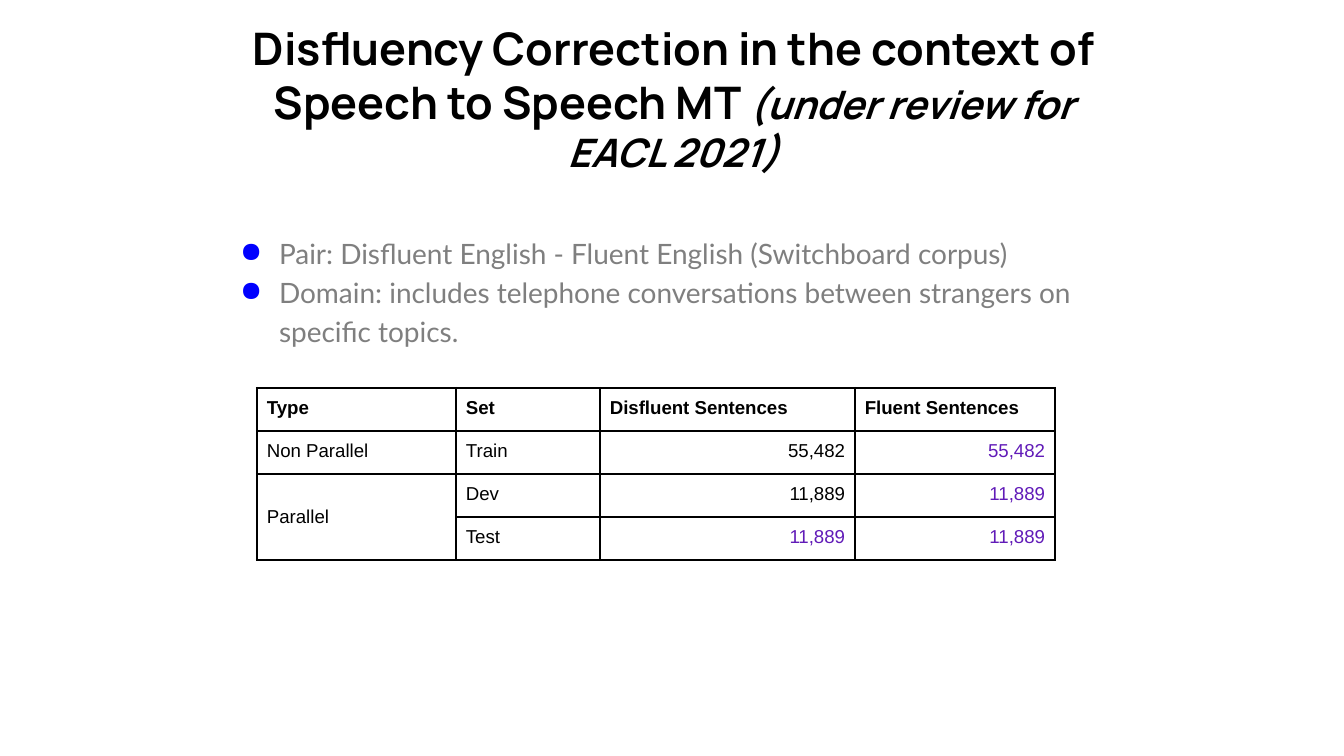
from lxml import etree
from pptx import Presentation
from pptx.dml.color import RGBColor
from pptx.enum.text import MSO_ANCHOR, PP_ALIGN
from pptx.oxml.ns import qn
from pptx.util import Emu, Pt

MIDDLE, TOP = MSO_ANCHOR.MIDDLE, MSO_ANCHOR.TOP
CENTER, LEFT, RIGHT = PP_ALIGN.CENTER, PP_ALIGN.LEFT, PP_ALIGN.RIGHT

COLORS = {"ink": "000000", "body": "7F7F7F", "bullet": "0000FF",
          "count": "611BB8", "paper": "FFFFFF"}
THICK, THIN = 1.5, 0.75

TITLE = [("Disfluency Correction in the context of Speech to Speech MT ", 24, False),
         ("(under review for EACL 2021)", 21, True)]
POINTS = ["Pair: Disfluent English - Fluent English (Switchboard corpus)",
          "Domain: includes telephone conversations between strangers on specific topics."]
ROWS = [["Type", "Set", "Disfluent Sentences", "Fluent Sentences"],
        ["Non Parallel", "Train", "55,482", "55,482"],
        ["Parallel", "Dev", "11,889", "11,889"],
        ["", "Test", "11,889", "11,889"]]
COLUMN_WIDTHS = [199, 144, 255, 200]
ROW_HEIGHT = 43
COUNT_CELLS = {(1, 3), (2, 3), (3, 2), (3, 3)}


def px(length):
    return Emu(round(length * 914400 / 134.4))


def set_font(font, name, size, color, bold=False):
    font.name, font.size, font.bold = name, Pt(size), bold
    font.color.rgb = RGBColor.from_string(COLORS[color])


def add_frame(page, box, anchor):
    frame = page.shapes.add_textbox(*map(px, box)).text_frame
    frame.word_wrap = True
    frame.vertical_anchor = anchor
    frame.margin_left = frame.margin_right = px(10)
    frame.margin_top = frame.margin_bottom = px(5)
    return frame


def add_title(page, box):
    para = add_frame(page, box, MIDDLE).paragraphs[0]
    para.alignment = CENTER
    for text, size, italic in TITLE:
        span = para.add_run()
        span.text = text
        set_font(span.font, "Manrope", size, "ink", bold=True)
        span.font.italic = italic


def add_bullet(para):
    properties = para._p.get_or_add_pPr()
    properties.set("marL", str(px(51)))
    properties.set("indent", str(px(-39)))
    color = etree.SubElement(properties, qn("a:buClr"))
    etree.SubElement(color, qn("a:srgbClr"), val=COLORS["bullet"])
    etree.SubElement(properties, qn("a:buChar"), char="●")


def add_points(page, box):
    frame = add_frame(page, box, TOP)
    for index, text in enumerate(POINTS):
        para = frame.add_paragraph() if index else frame.paragraphs[0]
        para.text = text
        para.line_spacing = 1.15
        add_bullet(para)
        set_font(para.font, "Lato", 15, "body")


def set_borders(cell, widths):
    """Draw the left, right, top and bottom lines, with widths in points."""
    properties = cell._tc.get_or_add_tcPr()
    for index, (side, width) in enumerate(zip("LRTB", widths)):
        line = etree.Element(qn(f"a:ln{side}"), w=str(Pt(width)))
        fill = etree.SubElement(line, qn("a:solidFill"))
        etree.SubElement(fill, qn("a:srgbClr"), val=COLORS["ink"])
        properties.insert(index, line)


def fill_cell(cell, row, column):
    cell.fill.solid()
    cell.fill.fore_color.rgb = RGBColor.from_string(COLORS["paper"])
    cell.margin_left = cell.margin_right = px(10)
    cell.margin_top = cell.margin_bottom = px(10)
    para = cell.text_frame.paragraphs[0]
    para.text = ROWS[row][column]
    para.alignment = RIGHT if row and column > 1 else LEFT
    color = "count" if (row, column) in COUNT_CELLS else "ink"
    set_font(para.font, "Arial", 10, color, bold=row == 0)
    last_row, last_column = len(ROWS) - 1, len(COLUMN_WIDTHS) - 1
    heavy = (column == 0, column == last_column, row < 2, row in (0, last_row))
    set_borders(cell, [THICK if edge else THIN for edge in heavy])


def add_sentence_table(page, left, top):
    table = page.shapes.add_table(
        len(ROWS), len(COLUMN_WIDTHS), px(left), px(top),
        px(sum(COLUMN_WIDTHS)), px(ROW_HEIGHT * len(ROWS))).table
    table.first_row = table.horz_banding = False
    for column, width in zip(table.columns, COLUMN_WIDTHS):
        column.width = px(width)
    for row, line in enumerate(table.rows):
        line.height = px(ROW_HEIGHT)
        for column in range(len(COLUMN_WIDTHS)):
            fill_cell(table.cell(row, column), row, column)
    parallel = table.cell(2, 0)
    parallel.merge(table.cell(3, 0))
    parallel.vertical_anchor = MIDDLE
    set_bottom = parallel._tc.tcPr.find(qn("a:lnB"))
    set_bottom.set("w", str(Pt(THICK)))


def main():
    deck = Presentation()
    deck.slide_width, deck.slide_height = px(1344), px(756)
    page = deck.slides.add_slide(deck.slide_layouts[6])
    add_title(page, (220, 51, 907, 94))
    add_points(page, (218, 227, 907, 414))
    add_sentence_table(page, 257, 388)
    deck.save("out.pptx")


if __name__ == "__main__":
    main()
